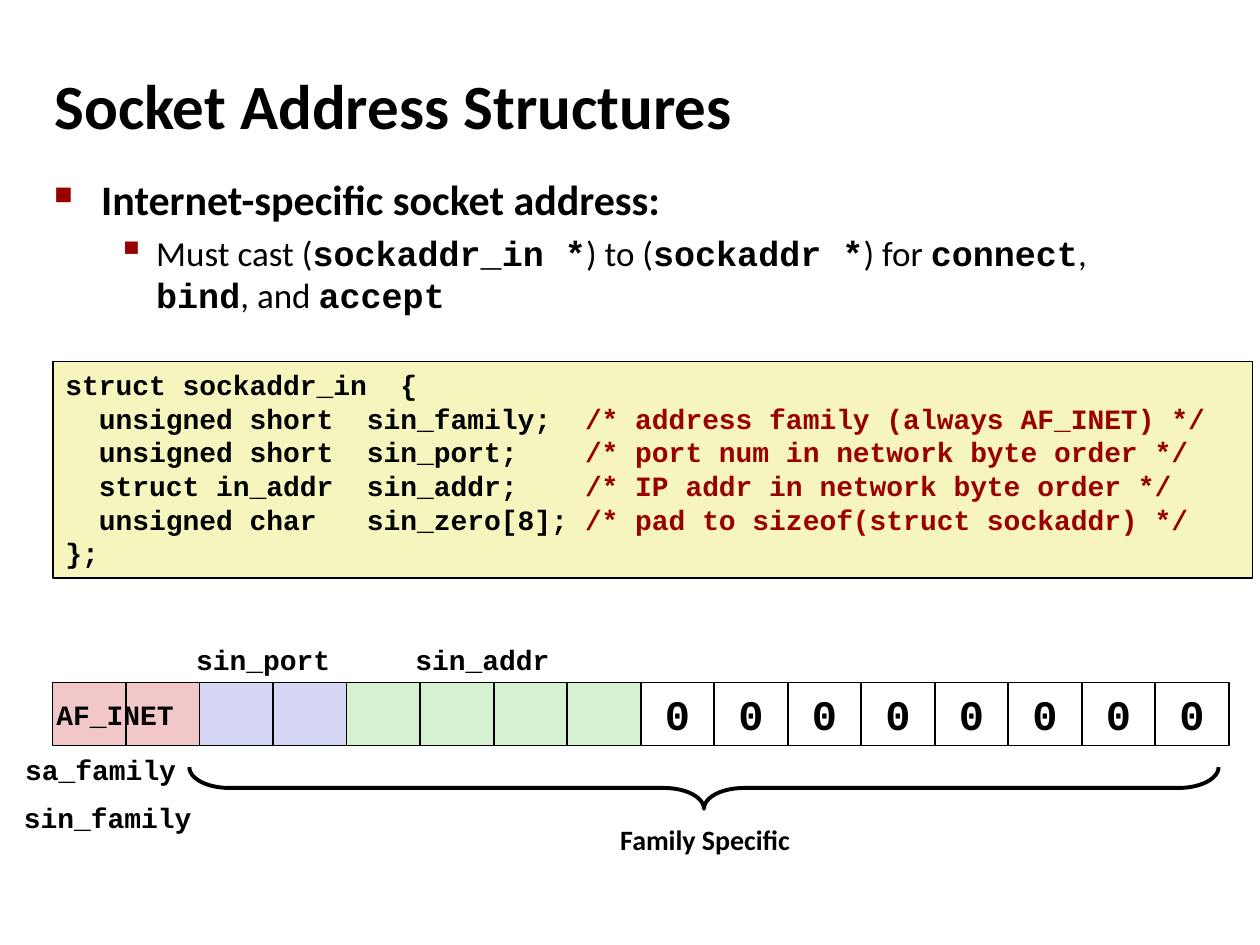
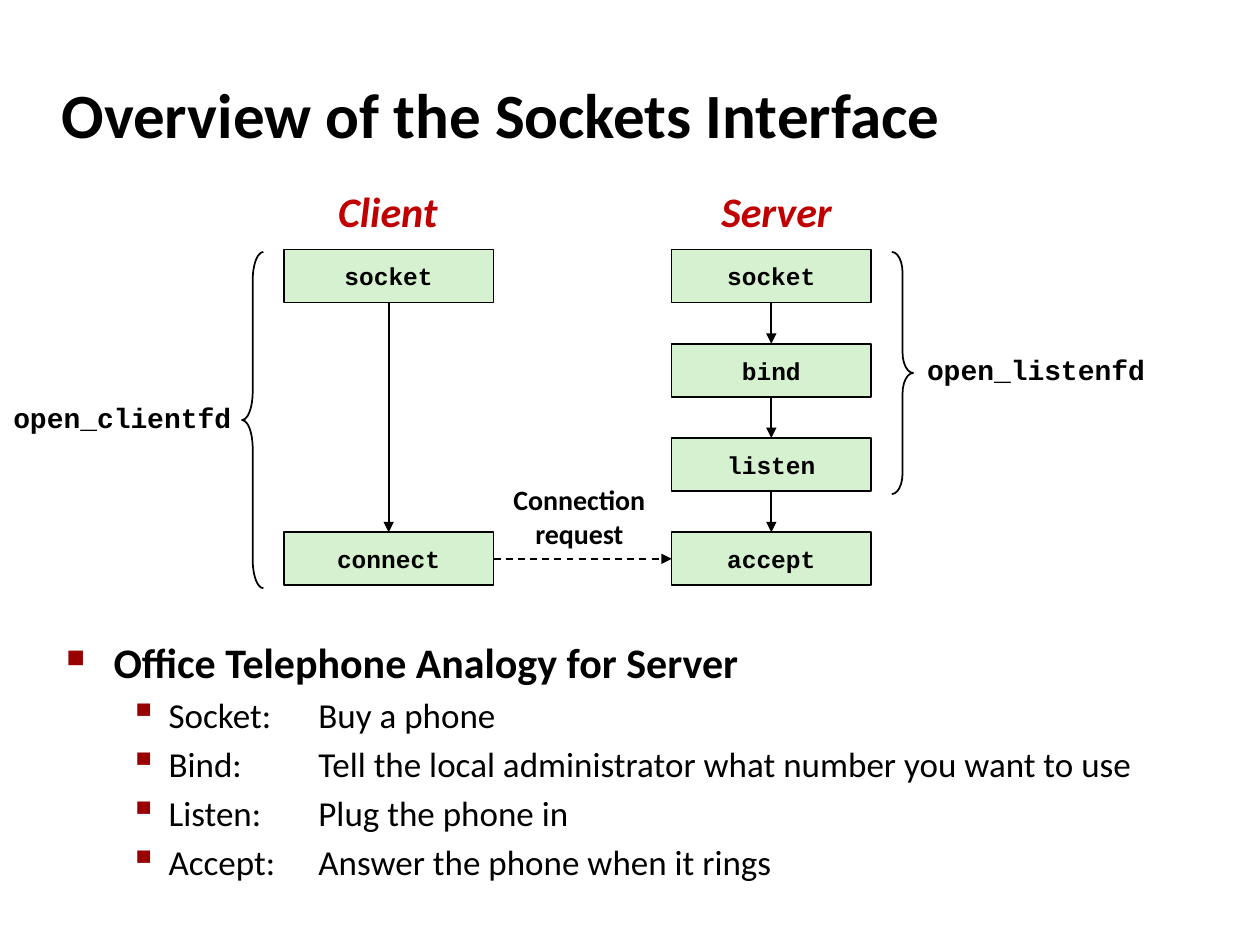
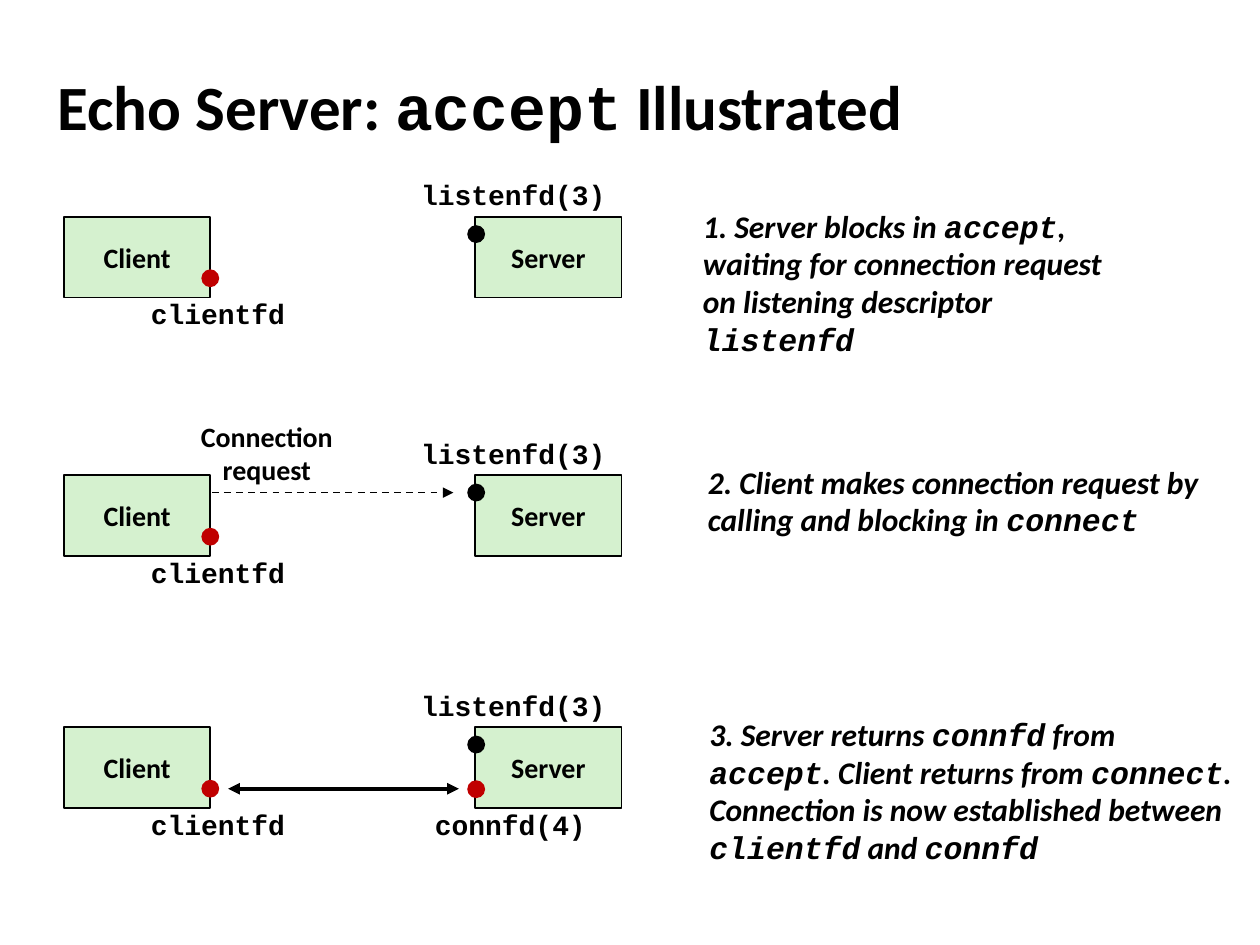
from lxml.etree import SubElement
from pptx import Presentation
from pptx.dml.color import RGBColor
from pptx.enum.dml import MSO_LINE
from pptx.enum.shapes import MSO_CONNECTOR, MSO_SHAPE
from pptx.enum.text import MSO_ANCHOR as ANCHOR, MSO_AUTO_SIZE as AUTO_SIZE, PP_ALIGN as ALIGN
from pptx.oxml.ns import qn
from pptx.util import Cm, Pt

COLORS = {
    "black": "000000",
    "white": "FFFFFF",
    "bullet": "990000",
    "comment": "990000",
    "accent": "C00000",
    "pink": "F1C7C7",
    "lavender": "D6D6F5",
    "green": "D5F1CF",
    "yellow": "F6F5BD",
}
SANS = "Calibri"
MONO = "Courier New"
LABEL_HEIGHT = 0.94
BULLETS = [
    {"char": "■", "percent": 60, "margin": 0.95, "hanging": 0.95, "size": 24, "bold": True},
    {"char": "▪", "percent": 110, "margin": 2.06, "hanging": 0.79, "size": 20, "bold": False},
]


def rgb(name):
    """Return the named colour."""
    return RGBColor.from_string(COLORS[name])


def box(*lengths):
    """Turn centimetre numbers into lengths."""
    return [Cm(length) for length in lengths]


def write(paragraph, markup, size, bold=True, italic=False, color="black"):
    """Write text in which backticks enclose code."""
    parts = [(text, index % 2) for index, text in enumerate(markup.split("`")) if text]
    all_code = all(is_code for _, is_code in parts)
    font = paragraph.font
    font.name = MONO if all_code else SANS
    font.size, font.bold, font.italic = Pt(size), bold, italic
    font.color.rgb = rgb(color)
    for text, is_code in parts:
        run = paragraph.add_run()
        run.text = text
        if is_code and not all_code:
            run.font.name, run.font.bold = MONO, True


def fill_frame(frame, lines, size, align=ALIGN.CENTER, anchor=ANCHOR.MIDDLE, wrap=False, **style):
    """Write one paragraph per line into a text frame."""
    frame.word_wrap = wrap
    frame.vertical_anchor = anchor
    for index, line in enumerate(lines):
        paragraph = frame.paragraphs[0] if index == 0 else frame.add_paragraph()
        paragraph.alignment = align
        write(paragraph, line, size, **style)


def add_title(slide, markup, *place):
    """Add a slide title."""
    frame = slide.shapes.add_textbox(*box(*place)).text_frame
    fill_frame(frame, [markup], 36, align=ALIGN.LEFT, wrap=True)


def add_label(slide, text, left, top, width, height=LABEL_HEIGHT, size=16, **style):
    """Add a centred label that does not wrap."""
    frame = slide.shapes.add_textbox(*box(left, top, width, height)).text_frame
    fill_frame(frame, text.split("\n"), size, **style)
    frame.auto_size = AUTO_SIZE.SHAPE_TO_FIT_TEXT


def add_note(slide, markup, *place):
    """Add an italic explanation that wraps."""
    frame = slide.shapes.add_textbox(*box(*place)).text_frame
    fill_frame(frame, [markup], 18, align=ALIGN.LEFT, wrap=True, italic=True)


def add_bullets(slide, items, *place, tab=None):
    """Add bulleted paragraphs given as level and text."""
    frame = slide.shapes.add_textbox(*box(*place)).text_frame
    frame.word_wrap = True
    for index, (level, markup) in enumerate(items):
        bullet = BULLETS[level]
        paragraph = frame.paragraphs[0] if index == 0 else frame.add_paragraph()
        paragraph.level = level
        paragraph.space_before = Pt(bullet["size"] * 0.2)
        properties = paragraph._p.get_or_add_pPr()
        properties.set("marL", str(Cm(bullet["margin"])))
        properties.set("indent", str(-Cm(bullet["hanging"])))
        color = SubElement(properties, qn("a:buClr"))
        SubElement(color, qn("a:srgbClr"), val=COLORS["bullet"])
        SubElement(properties, qn("a:buSzPct"), val=str(bullet["percent"] * 1000))
        SubElement(properties, qn("a:buChar"), char=bullet["char"])
        if tab:
            tabs = SubElement(properties, qn("a:tabLst"))
            SubElement(tabs, qn("a:tab"), pos=str(Cm(tab)), algn="l")
        write(paragraph, markup, bullet["size"], bold=bullet["bold"])


def add_shape(slide, kind, place, fill=None, line=1):
    """Add a flat shape; without a fill or line width that part is left out."""
    shape = slide.shapes.add_shape(kind, *box(*place))
    shape.shadow.inherit = False
    if fill:
        shape.fill.solid()
        shape.fill.fore_color.rgb = rgb(fill)
    else:
        shape.fill.background()
    if line:
        shape.line.color.rgb = rgb("black")
        shape.line.width = Pt(line)
    else:
        shape.line.fill.background()
    return shape


def add_box(slide, place, fill="green", text=None, size=16):
    """Add an outlined rectangle with an optional centred text."""
    rectangle = add_shape(slide, MSO_SHAPE.RECTANGLE, place, fill)
    if text:
        fill_frame(rectangle.text_frame, [text], size)
    return rectangle


def add_brace(slide, kind, place, curve, line=1, rotation=0):
    """Add a brace whose ends curve by the given share of its width."""
    brace = add_shape(slide, kind, place, line=line)
    brace.adjustments[0] = curve
    brace.adjustments[1] = 0.5
    brace.rotation = rotation


def add_dot(slide, left, top, color):
    """Add a descriptor dot."""
    add_shape(slide, MSO_SHAPE.OVAL, (left, top, 0.36, 0.36), color, line=None)


def add_arrow(slide, start=(0, 0), end=(0, 0), width=1, dashed=False, ends=("tailEnd",)):
    """Add a straight arrow with heads at the given ends."""
    arrow = slide.shapes.add_connector(MSO_CONNECTOR.STRAIGHT, *box(*start, *end))
    arrow.line.color.rgb = rgb("black")
    arrow.line.width = Pt(width)
    if dashed:
        arrow.line.dash_style = MSO_LINE.DASH
    for name in ends:
        SubElement(arrow.line._get_or_add_ln(), qn(f"a:{name}"), type="triangle")
    SubElement(arrow._element.spPr, qn("a:effectLst"))
    return arrow


def join(slide, first, first_side, second, second_side, **style):
    """Join the sides of two boxes with an arrow."""
    arrow = add_arrow(slide, **style)
    arrow.begin_connect(first, first_side)
    arrow.end_connect(second, second_side)


def add_struct(slide, name, fields, *place):
    """Add a code box with a struct whose fields are aligned in columns."""
    lines = [(f"struct {name}  {{", "")]
    lines += [(f"  {kind:<16}{field + ';':<13}", comment) for kind, field, comment in fields]
    lines.append(("};", ""))
    frame = add_box(slide, place, "yellow").text_frame
    fill_frame(frame, [f"`{code}`" for code, _ in lines], 16,
               align=ALIGN.LEFT, anchor=ANCHOR.TOP, wrap=True)
    for paragraph, (_, comment) in zip(frame.paragraphs, lines):
        if comment:
            run = paragraph.add_run()
            run.text = f"/* {comment} */"
            run.font.color.rgb = rgb("comment")


def build_address_slide(slide):
    """Show the Internet socket address and its byte layout."""
    add_title(slide, "Socket Address Structures", 0.85, 1.02, 24.2, 2.16)
    add_bullets(slide, [
        (0, "Internet-specific socket address:"),
        (1, "Must cast (`sockaddr_in *`) to (`sockaddr *`) for `connect`, `bind`, and `accept`"),
    ], 0.84, 3.38, 23.09, 4.65)
    add_struct(slide, "sockaddr_in", [
        ("unsigned short", "sin_family", "address family (always AF_INET)"),
        ("unsigned short", "sin_port", "port num in network byte order"),
        ("struct in_addr", "sin_addr", "IP addr in network byte order"),
        ("unsigned char", "sin_zero[8]", "pad to sizeof(struct sockaddr)"),
    ], 1.07, 7.29, 24.18, 4.37)

    byte_width = 1.482
    fills = ["pink"] * 2 + ["lavender"] * 2 + ["green"] * 4 + ["white"] * 8
    for index, fill in enumerate(fills):
        place = (1.06 + index * byte_width, 13.76, byte_width, 1.27)
        add_box(slide, place, fill, "`0`" if fill == "white" else None, 24)
    for text, left, top, width in [
        ("`sin_port`", 3.68, 12.83, 3.25),
        ("`sin_addr`", 8.1, 12.83, 3.25),
        ("`AF_INET`", 0.86, 13.94, 2.92),
        ("`sa_family`", 0.25, 15.04, 3.56),
        ("`sin_family`", 0.2, 16, 3.94),
        ("Family Specific", 12.22, 16.46, 3.99),
    ]:
        add_label(slide, text, left, top, width)
    add_brace(slide, MSO_SHAPE.RIGHT_BRACE, (13.77, 5.51, 0.84, 20.75), 0.96, 2.25, 90)


def build_overview_slide(slide):
    """Show the calls that client and server make."""
    add_title(slide, "Overview of the Sockets Interface", 0.99, 1.22, 21.08, 2.11)
    add_label(slide, "Client", 6.55, 3.61, 2.54, 1.27, 24, italic=True, color="accent")
    add_label(slide, "Server", 14.27, 3.61, 2.77, 1.27, 24, italic=True, color="accent")

    def add_calls(left, width, calls):
        """Add a column of call boxes joined from top to bottom."""
        boxes = [add_box(slide, (left, 5.03 + row * 1.9, width, 1.07), text=f"`{call}`", size=14)
                 for row, call in calls]
        for upper, lower in zip(boxes, boxes[1:]):
            join(slide, upper, 2, lower, 0)
        return boxes

    client = add_calls(5.72, 4.23, [(0, "socket"), (3, "connect")])
    server = add_calls(13.54, 4.02, enumerate(["socket", "bind", "listen", "accept"]))
    join(slide, client[-1], 3, server[-1], 1, dashed=True)
    add_label(slide, "Connection\nrequest", 10.08, 9.6, 3.2, 1.63)

    add_brace(slide, MSO_SHAPE.LEFT_BRACE, (4.88, 5.08, 0.43, 6.78), 1.33)
    add_label(slide, "`open_clientfd`", 0, 7.95, 4.93)
    add_brace(slide, MSO_SHAPE.RIGHT_BRACE, (17.98, 5.08, 0.43, 4.88), 0.96)
    add_label(slide, "`open_listenfd`", 18.42, 6.98, 4.93)
    add_bullets(slide, [
        (0, "Office Telephone Analogy for Server"),
        (1, "Socket: \tBuy a phone"),
        (1, "Bind: \tTell the local administrator what number you want to use"),
        (1, "Listen: \tPlug the phone in"),
        (1, "Accept: \tAnswer the phone when it rings"),
    ], 1.09, 12.7, 23.24, 4.9, tab=5.08)


def add_scene(slide, top):
    """Add a client and a server with their descriptors."""
    add_box(slide, (1.29, top, 2.95, 1.63), text="Client")
    add_box(slide, (9.58, top, 2.95, 1.63), text="Server")
    add_label(slide, "`listenfd(3)`", 8.23, top - 0.92, 4.24)
    add_label(slide, "`clientfd`", 2.78, top + 1.48, 3.23)
    add_dot(slide, 4.06, top + 1.06, "accent")
    add_dot(slide, 9.42, top + 0.17, "black")


def build_accept_slide(slide):
    """Show the three steps of accepting a connection."""
    add_title(slide, "Echo Server: `accept` Illustrated", 0.91, 1.32, 23.3, 1.6)
    for top in (4.37, 9.58, 14.66):
        add_scene(slide, top)
    add_note(slide, "1. Server blocks in `accept`, waiting for connection request "
             "on listening descriptor `listenfd`", 13.92, 4.04, 9.14, 3.3)
    add_note(slide, "2. Client makes connection request by calling and blocking in `connect`",
             14.02, 9.19, 10.74, 1.8)
    add_note(slide, "3. Server returns `connfd` from `accept`. Client returns from `connect`. "
             "Connection is now established between `clientfd` and `connfd`",
             14.05, 14.27, 11.15, 3.33)
    add_label(slide, "Connection\nrequest", 3.78, 8.31, 3.2, 1.63)
    add_arrow(slide, (4.27, 9.93), (9.14, 9.93), dashed=True)
    add_arrow(slide, (4.6, 15.9), (9.25, 15.9), width=2.25, ends=("headEnd", "tailEnd"))
    add_dot(slide, 9.42, 15.73, "accent")
    add_label(slide, "`connfd(4)`", 8.51, 16.15, 3.56)


def main():
    """Build and save the presentation."""
    presentation = Presentation()
    presentation.slide_width, presentation.slide_height = Cm(25.4), Cm(19.05)
    for build in (build_address_slide, build_overview_slide, build_accept_slide):
        build(presentation.slides.add_slide(presentation.slide_layouts[6]))
    presentation.save("out.pptx")


if __name__ == "__main__":
    main()
